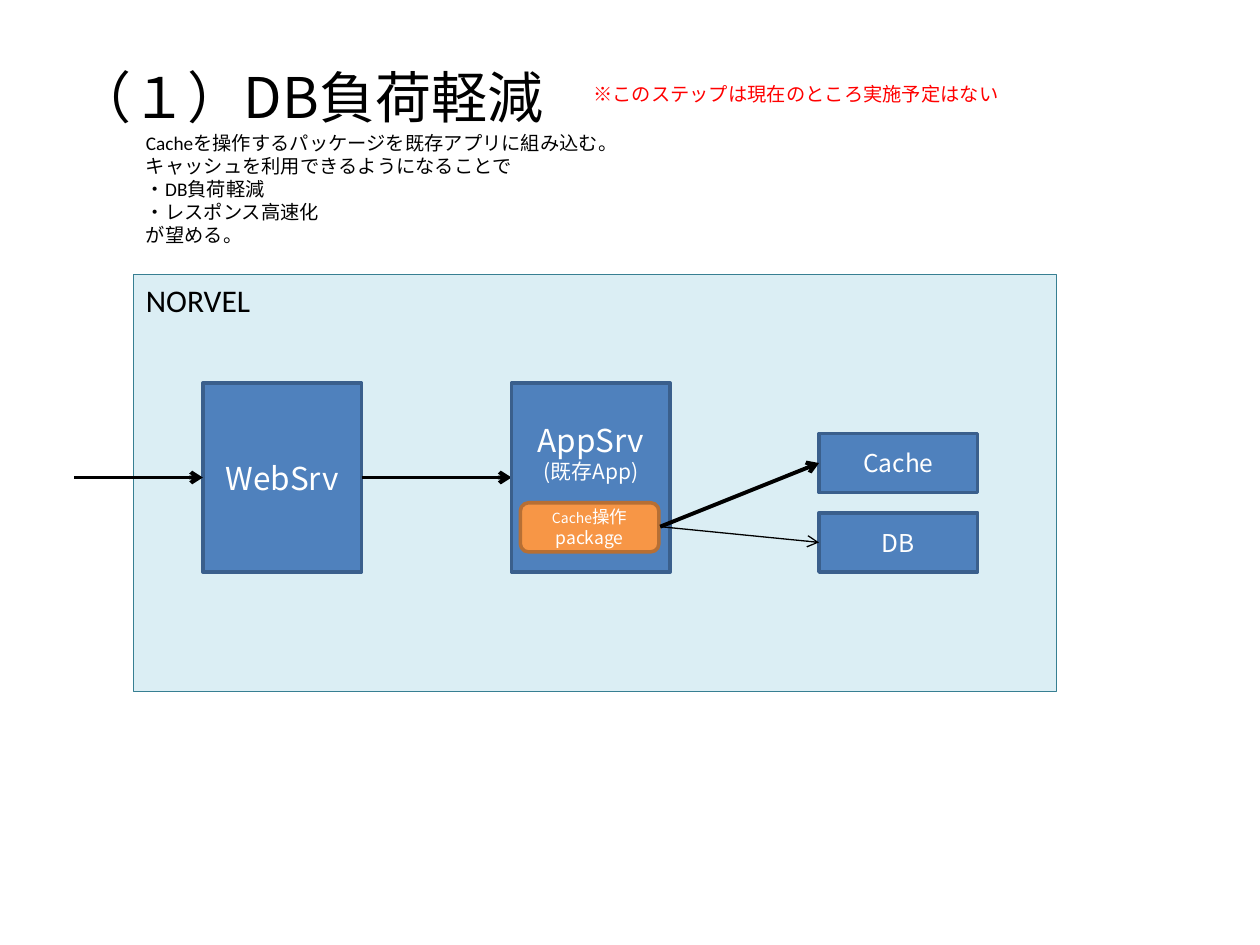
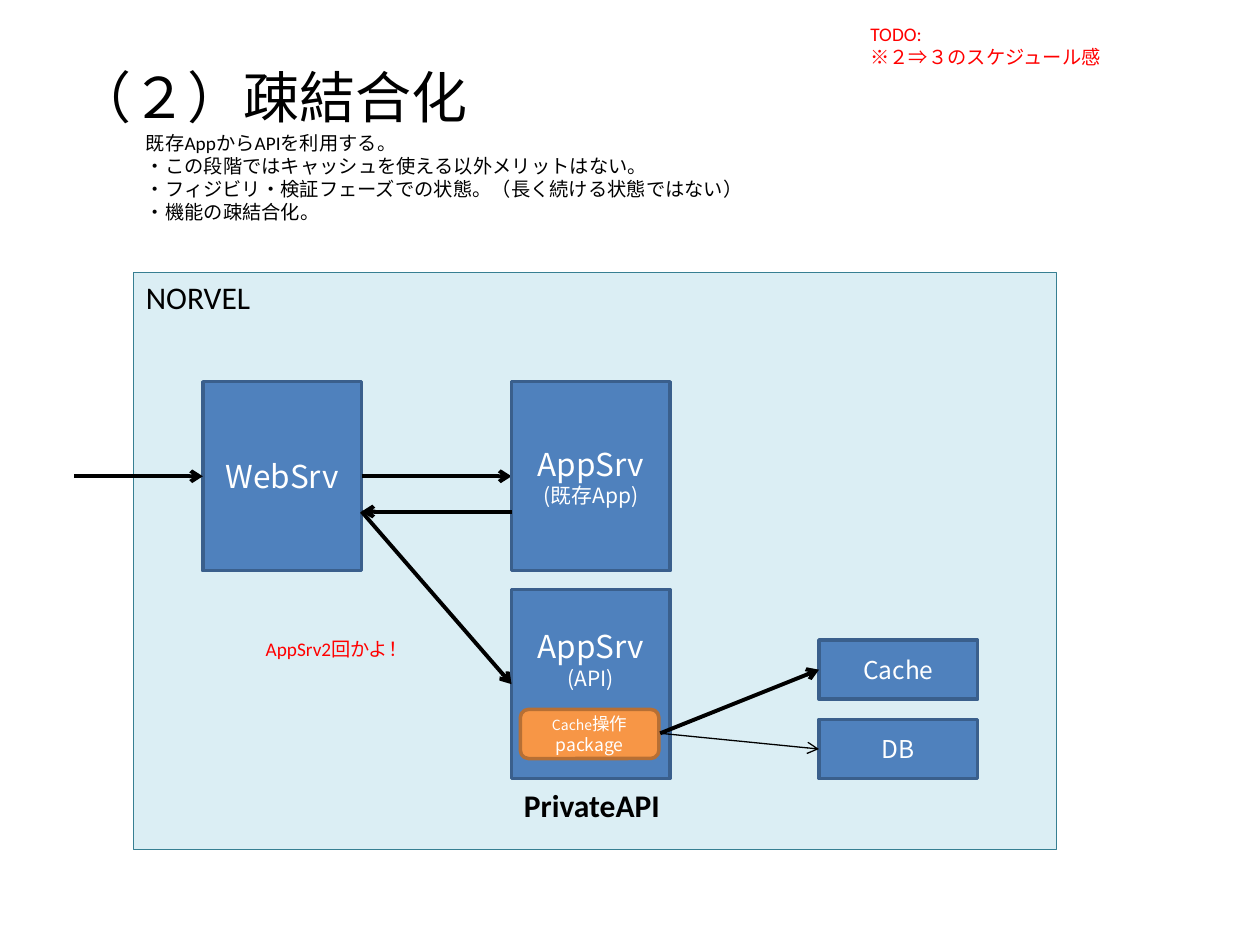
"""Builds two slides on adding a cache and loosening the coupling of a system."""
import pptx
import pptx.dml.color
import pptx.enum.shapes
import pptx.enum.text
import pptx.oxml.ns
import pptx.util
from lxml import etree
from pptx.util import Inches

COLOURS = {
    "panel": "DBEEF4", "panel_edge": "377F92",
    "server": "4F81BD", "server_edge": "3A5F8C",
    "package": "F79646", "package_edge": "B76F34",
    "black": "000000", "white": "FFFFFF", "red": "FF0000",
}
LATIN = "Calibri"
JAPANESE = "Noto Sans CJK JP"
SHAPES = pptx.enum.shapes.MSO_SHAPE
ANCHOR = pptx.enum.text.MSO_ANCHOR
ALIGN = pptx.enum.text.PP_ALIGN

WEB_LEFT, APP_LEFT, STORE_LEFT = 1.61, 4.06, 6.5
SERVER_WIDTH, SERVER_HEIGHT, STORE_HEIGHT = 1.26, 1.5, 0.47


def colour(name):
    return pptx.dml.color.RGBColor.from_string(COLOURS[name])


def format_span(span, size, ink, font, bold=False):
    span.font.size = pptx.util.Pt(size)
    span.font.color.rgb = colour(ink)
    span.font.bold = bold
    span.font.name = font
    east_asian = etree.SubElement(span.font._element, pptx.oxml.ns.qn("a:ea"))
    east_asian.set("typeface", font)


def write(frame, lines, ink, font, align=ALIGN.LEFT, bold=False):
    """Fill a frame with lines, each a list of (text, size) spans."""
    for number, spans in enumerate(lines):
        para = frame.add_paragraph() if number else frame.paragraphs[0]
        para.alignment = align
        for text, size in spans:
            span = para.add_run()
            span.text = text
            format_span(span, size, ink, font, bold)


def add_title(page, text):
    title = page.shapes.title
    title.left, title.top = Inches(0.5), Inches(0.3)
    title.width, title.height = Inches(9), Inches(0.93)
    frame = title.text_frame
    frame.text = text
    frame.auto_size = pptx.enum.text.MSO_AUTO_SIZE.NONE
    frame.vertical_anchor = ANCHOR.MIDDLE
    frame.paragraphs[0].alignment = ALIGN.LEFT
    format_span(frame.paragraphs[0].runs[0], 32, "black", JAPANESE)


def add_note(page, left, top, width, height, texts, ink="black", size=11, bold=False):
    box = page.shapes.add_textbox(Inches(left), Inches(top), Inches(width), Inches(height))
    box.text_frame.word_wrap = True
    write(box.text_frame, [[(text, size)] for text in texts], ink, LATIN, bold=bold)


def add_block(page, kind, left, top, width, height, style, edge_width):
    block = page.shapes.add_shape(kind, Inches(left), Inches(top), Inches(width), Inches(height))
    block.shadow.inherit = False
    block.fill.solid()
    block.fill.fore_color.rgb = colour(style)
    block.line.color.rgb = colour(style + "_edge")
    block.line.width = pptx.util.Pt(edge_width)
    return block


def add_panel(page, top, height):
    panel = add_block(page, SHAPES.RECTANGLE, 1.06, top, 7.32, height, "panel", 0.25)
    panel.text_frame.vertical_anchor = ANCHOR.TOP
    write(panel.text_frame, [[("NORVEL", 18)]], "black", LATIN)


def add_node(page, left, top, height, lines, bottom_inset=0.05):
    node = add_block(page, SHAPES.RECTANGLE, left, top, SERVER_WIDTH, height, "server", 2)
    node.text_frame.vertical_anchor = ANCHOR.MIDDLE
    node.text_frame.margin_bottom = Inches(bottom_inset)
    write(node.text_frame, lines, "white", JAPANESE, ALIGN.CENTER)


def add_arrow(page, start, end, width=2.25):
    arrow = page.shapes.add_connector(
        pptx.enum.shapes.MSO_CONNECTOR.STRAIGHT, *map(Inches, start + end))
    arrow.line.color.rgb = colour("black")
    arrow.line.width = pptx.util.Pt(width)
    tip = etree.SubElement(arrow.line._get_or_add_ln(), pptx.oxml.ns.qn("a:tailEnd"))
    tip.set("type", "arrow")
    etree.SubElement(arrow._element.spPr, pptx.oxml.ns.qn("a:effectLst"))


def add_entry(page, top):
    """Draw the web server with the request arrows into and out of it."""
    add_node(page, WEB_LEFT, top, SERVER_HEIGHT, [[("WebSrv", 18)]])
    middle = top + SERVER_HEIGHT / 2
    add_arrow(page, (0.59, middle), (WEB_LEFT, middle))
    add_arrow(page, (WEB_LEFT + SERVER_WIDTH, middle), (APP_LEFT, middle))


def add_backend(page, top, role):
    """Draw the application server that reaches the cache and database."""
    add_node(page, APP_LEFT, top, SERVER_HEIGHT,
             [[("AppSrv", 18)], [(role, 12)]], bottom_inset=0.45)
    package = add_block(page, SHAPES.ROUNDED_RECTANGLE, 4.13, top + 0.95, 1.1, 0.39, "package", 2)
    package.text_frame.vertical_anchor = ANCHOR.MIDDLE
    write(package.text_frame, [[("Cache", 8), ("操作", 10)], [("package", 10)]],
          "white", JAPANESE, ALIGN.CENTER)
    for name, offset, width in (("Cache", 0.4, 2.25), ("DB", 1.03, 0.75)):
        add_node(page, STORE_LEFT, top + offset, STORE_HEIGHT, [[(name, 14)]])
        add_arrow(page, (5.24, top + 1.14),
                  (STORE_LEFT, top + offset + STORE_HEIGHT / 2), width)


def build_load_slide(page):
    add_title(page, "（１）DB負荷軽減")
    add_panel(page, 2.18, 3.31)
    add_entry(page, 3.04)
    add_backend(page, 3.04, "(既存App)")
    add_note(page, 1.06, 0.99, 7.48, 1.03, [
        "Cacheを操作するパッケージを既存アプリに組み込む。",
        "キャッシュを利用できるようになることで",
        "・DB負荷軽減",
        "・レスポンス高速化",
        "が望める。",
    ])
    add_note(page, 4.61, 0.6, 4.25, 0.29,
             ["※このステップは現在のところ実施予定はない"], "red")


def build_coupling_slide(page):
    add_title(page, "（２）疎結合化")
    add_note(page, 1.06, 0.99, 7.4, 0.84, [
        "既存AppからAPIを利用する。",
        "・この段階ではキャッシュを使える以外メリットはない。",
        "・フィジビリ・検証フェーズでの状態。（長く続ける状態ではない）",
        "・機能の疎結合化。",
    ])
    add_panel(page, 2.16, 4.58)
    add_entry(page, 3.03)
    add_node(page, APP_LEFT, 3.03, SERVER_HEIGHT, [[("AppSrv", 18)], [("(既存App)", 12)]])
    add_backend(page, 4.68, "(API)")
    turn = (WEB_LEFT + SERVER_WIDTH, 4.06)
    add_arrow(page, (APP_LEFT, 4.06), turn)
    add_arrow(page, turn, (APP_LEFT, 4.68 + SERVER_HEIGHT / 2))
    add_note(page, 4.06, 6.19, 1.5, 0.4, ["PrivateAPI"], size=18, bold=True)
    add_note(page, 2.01, 5.01, 1.42, 0.29, ["AppSrv2回かよ！"], "red")
    add_note(page, 6.81, 0.13, 2.83, 0.47, ["TODO:", "※２⇒３のスケジュール感"], "red")


def main():
    deck = pptx.Presentation()
    deck.slide_width, deck.slide_height = Inches(10), Inches(7.5)
    title_only = deck.slide_layouts[5]
    for build in (build_load_slide, build_coupling_slide):
        build(deck.slides.add_slide(title_only))
    deck.save("out.pptx")


main()
